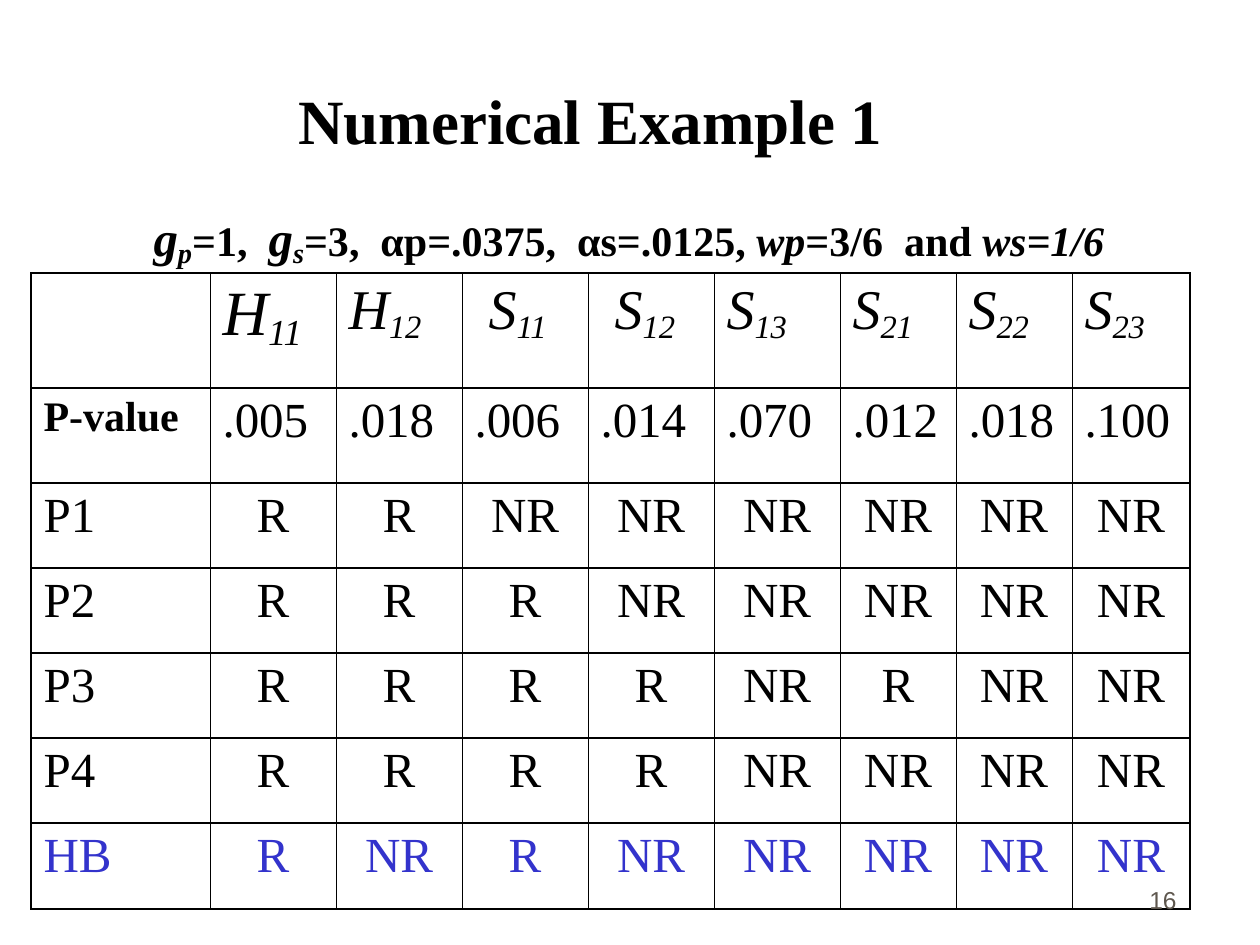
"""Build the slide with the table of test decisions for numerical example 1."""
from lxml import etree
from pptx import Presentation
from pptx.dml.color import RGBColor
from pptx.enum.text import MSO_ANCHOR, PP_ALIGN
from pptx.oxml.ns import qn
from pptx.util import Emu, Pt

LEFT, CENTER, RIGHT = PP_ALIGN.LEFT, PP_ALIGN.CENTER, PP_ALIGN.RIGHT
TOP, BOTTOM = MSO_ANCHOR.TOP, MSO_ANCHOR.BOTTOM
SCALE = 914400 / 126
THEME = {
    "ink": "000000", "accent": "3333CC", "muted": "5E574E",
    "serif": "Times New Roman", "sans": "Arial",
    "title": 36, "lead": 32, "value": 28, "body": 24, "space": 18, "number": 14,
    "thick": 1.08, "thin": 0.45, "subscript": "-16000",
}


def px(length):
    return Emu(round(length * SCALE))


def write(frame, spans, color="ink", face="serif", **layout):
    para = frame.paragraphs[0]
    for name, value in layout.items():
        setattr(para, name, value)
    for text, size, style in spans:
        span = para.add_run()
        span.text = text
        span.font.color.rgb = RGBColor.from_string(THEME[color])
        formats = {"name": THEME[face], "size": Pt(THEME[size]),
                   "bold": "b" in style, "italic": "i" in style}
        for name, value in formats.items():
            setattr(span.font, name, value)
        if "s" in style:
            span._r.get_or_add_rPr().set("baseline", THEME["subscript"])
    return para


deck = Presentation()
deck.slide_width, deck.slide_height = px(1260), px(945)
page = deck.slides.add_slide(deck.slide_layouts[6])

title_spans = [("Numerical Example 1", "title", "b")]
setting_spans = [
    (" ", "space", "b"),
    ("g", "value", "bi"), ("p", "value", "bis"), ("=1,  ", "body", "b"),
    ("g", "value", "bi"), ("s", "value", "bis"),
    ("=3,  αp=.0375,  αs=.0125, ", "body", "b"),
    ("wp", "body", "bi"), ("=3/6  and ", "body", "b"), ("ws=1/6", "body", "bi"),
]

hypotheses = [("H", "11"), ("H", "12"), (" S", "11"), (" S", "12"),
              ("S", "13"), ("S", "21"), ("S", "22"), ("S", "23")]
rows = [
    "P-value .005 .018 .006 .014 .070 .012 .018 .100",
    "P1 R R NR NR NR NR NR NR",
    "P2 R R R NR NR NR NR NR",
    "P3 R R R R NR R NR NR",
    "P4 R R R R NR NR NR NR",
    "HB R NR R NR NR NR NR NR",
]
widths = [179] + [126] * 5 + [116, 116, 118]
heights = [115, 95] + [85] * 4 + [86]
grid = page.shapes.add_table(len(heights), len(widths), px(31), px(273),
                             px(sum(widths)), px(sum(heights))).table
grid.first_row = grid.horz_banding = False
for column, width in zip(grid.columns, widths):
    column.width = px(width)
for row, height in zip(grid.rows, heights):
    row.height = px(height)

for column, (letter, index) in enumerate(hypotheses, start=1):
    size, gap = ("title", 9) if column == 1 else ("lead", 8)
    write(grid.cell(0, column).text_frame,
          [(letter, size, "i"), (index, size, "is")], space_before=Pt(gap))

for row, line in enumerate(rows, start=1):
    color = "accent" if row == len(rows) else "ink"
    for column, text in enumerate(line.split()):
        size, style, gap = ("body", "b", 6) if text == "P-value" else ("value", "", 7)
        write(grid.cell(row, column).text_frame, [(text, size, style)], color,
              alignment=CENTER if row > 1 and column else LEFT, space_before=Pt(gap))

last = len(widths) - 1
for row in range(len(heights)):
    for column in range(len(widths)):
        cell = grid.cell(row, column)
        properties = cell._tc.get_or_add_tcPr()
        edges = {"a:lnL": "thin" if column else "thick",
                 "a:lnR": "thick" if column == last else "thin",
                 "a:lnT": "thick", "a:lnB": "thick"}
        for tag, weight in edges.items():
            edge = etree.SubElement(properties, qn(tag), w=str(Pt(THEME[weight])))
            fill = etree.SubElement(edge, qn("a:solidFill"))
            etree.SubElement(fill, qn("a:srgbClr"), val=THEME["ink"])
        cell.fill.background()

labels = [
    ((55, 32, 1071, 126), BOTTOM, title_spans, "ink", "serif",
     {"alignment": CENTER, "line_spacing": 0.5}),
    ((63, 210, 1124, 63), TOP, setting_spans, "ink", "serif",
     {"alignment": CENTER, "line_spacing": 0.8, "space_before": Pt(6)}),
    ((927, 858, 262, 63), BOTTOM, [("16", "number", "")], "muted", "sans",
     {"alignment": RIGHT, "space_before": Pt(8.8)}),
]
for place, anchor, spans, color, face, layout in labels:
    box = page.shapes.add_textbox(*map(px, place))
    box.text_frame.word_wrap = True
    box.text_frame.vertical_anchor = anchor
    para = write(box.text_frame, spans, color, face, **layout)
    if spans is setting_spans:
        indent = px(48)
        para._p.get_or_add_pPr().set("marL", str(indent))
        para._p.get_or_add_pPr().set("indent", str(-indent))

deck.save("out.pptx")
